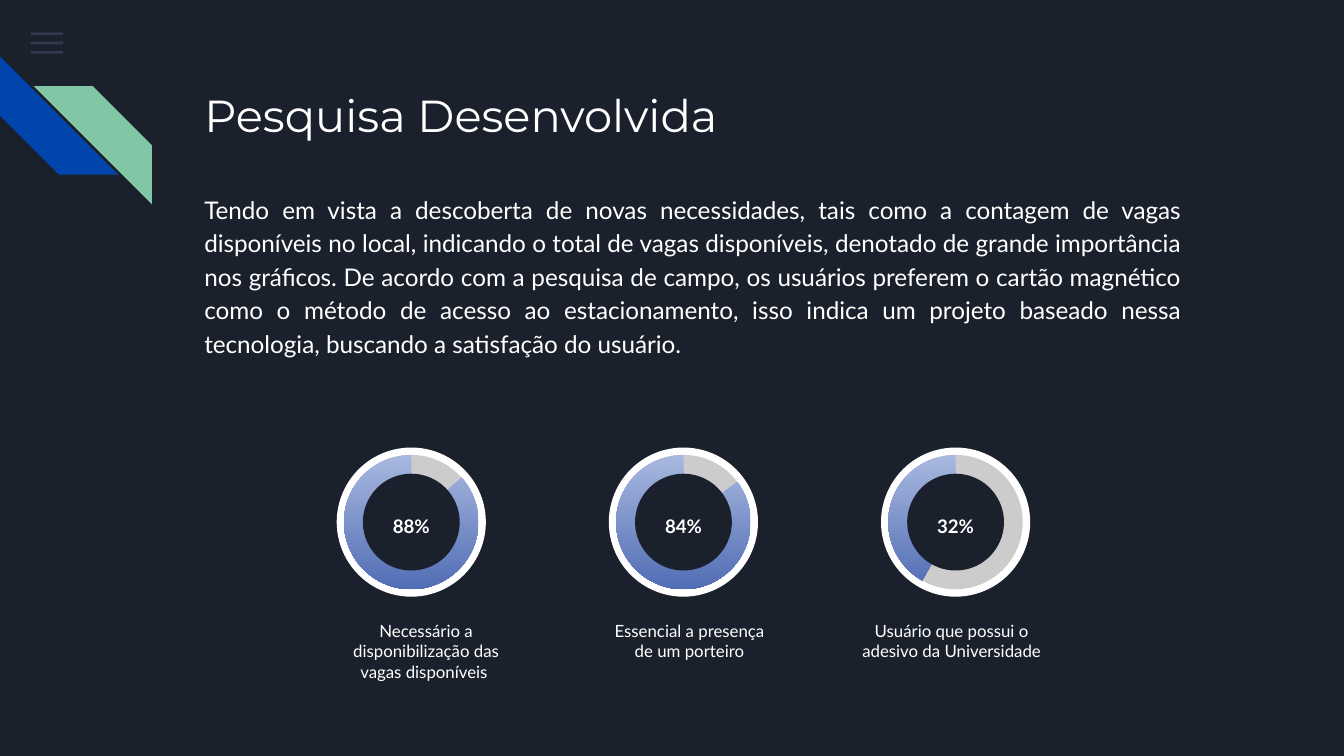
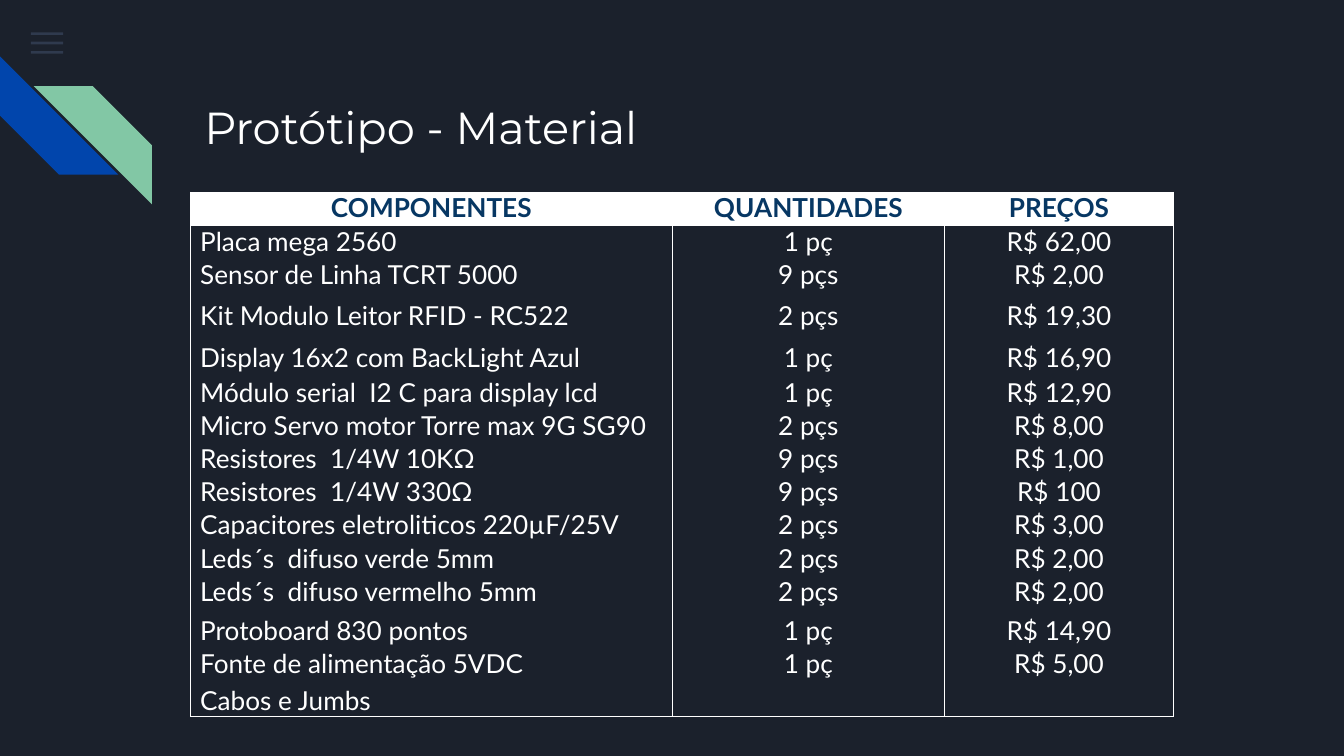
"""Build two slides on a parking survey and the prototype's bill of materials."""
from lxml.etree import SubElement
from pptx import Presentation
from pptx.dml.color import RGBColor
from pptx.enum.shapes import MSO_SHAPE
from pptx.enum.text import MSO_ANCHOR, MSO_AUTO_SIZE, PP_ALIGN
from pptx.oxml.ns import qn
from pptx.util import Inches, Pt

COLORS = {
    "background": "1B212C", "white": "FFFFFF", "menu": "55688B",
    "blue": "0145AC", "green": "82C7A5", "track": "CCCCCC",
    "arc_light": "A8B8DF", "arc_dark": "516DB4", "header": "073763",
}
TITLE_FONT, BODY_FONT = "Montserrat", "Lato"

SURVEY_TEXT = (
    "Tendo em vista a descoberta de novas necessidades, tais como a contagem de vagas "
    "disponíveis no local, indicando o total de vagas disponíveis, denotado de grande "
    "importância nos gráficos. De acordo com a pesquisa de campo, os usuários preferem o "
    "cartão magnético como o método de acesso ao estacionamento, isso indica um projeto "
    "baseado nessa tecnologia, buscando a satisfação do usuário."
)
RINGS = [
    ("88%", 191.235, "Necessário a disponibilização das vagas disponíveis ", (2.44, 4.52, 1.46, 0.58)),
    ("84%", 194.104, "Essencial a presença de um porteiro", (4.46, 4.52, 1.34, 0.48)),
    ("32%", 71.818, "Usuário que possui o adesivo da Universidade", (6.28, 4.52, 1.6, 0.48)),
]
RING_TOP_ANGLE = 162
RING_SIZE = 1.11
RING_CENTER_Y = 3.33 + RING_SIZE / 2
FIRST_RING_X, LAST_RING_X = 3.06, 7.11
MATERIALS = [
    ("COMPONENTES", "QUANTIDADES", "PREÇOS"),
    ("Placa mega 2560", "1 pç", "R$ 62,00"),
    ("Sensor de Linha TCRT 5000", "9 pçs", "R$ 2,00"),
    ("Kit Modulo Leitor RFID - RC522", "2 pçs", "R$ 19,30"),
    ("Display 16x2 com BackLight Azul", "1 pç", "R$ 16,90"),
    ("Módulo serial  I2 C para display lcd", "1 pç", "R$ 12,90"),
    ("Micro Servo motor Torre max 9G SG90", "2 pçs", "R$ 8,00"),
    ("Resistores  1/4W 10KΩ", "9 pçs", "R$ 1,00"),
    ("Resistores  1/4W 330Ω", "9 pçs", "R$ 100"),
    ("Capacitores eletroliticos 220µF/25V", "2 pçs", "R$ 3,00"),
    ("Leds´s  difuso verde 5mm", "2 pçs", "R$ 2,00"),
    ("Leds´s  difuso vermelho 5mm", "2 pçs", "R$ 2,00"),
    ("Protoboard 830 pontos", "1 pç", "R$ 14,90"),
    ("Fonte de alimentação 5VDC", "1 pç", "R$ 5,00"),
    ("Cabos e Jumbs", "", ""),
]
COLUMN_WIDTHS = [3.58, 2.03, 1.7]
TABLE_HEIGHT = 3.9
SPECIAL_HEIGHTS = {2: 0.31, 3: 0.31, 4: 0.26, 11: 0.29, 13: 0.28, 14: 0.23}
ROW_HEIGHT = (TABLE_HEIGHT - sum(SPECIAL_HEIGHTS.values())) / (len(MATERIALS) - len(SPECIAL_HEIGHTS))


def color(name):
    return RGBColor.from_string(COLORS[name])


def place(shape, bounds):
    shape.left, shape.top, shape.width, shape.height = map(Inches, bounds)


def write(frame, text, size, font=BODY_FONT, ink="white", bold=False,
          align=PP_ALIGN.LEFT, line=1, after=0):
    frame.text = text
    para = frame.paragraphs[0]
    para.alignment = align
    para.line_spacing = line
    para.space_before, para.space_after = Pt(0), Pt(after)
    for span in para.runs:
        span.font.name, span.font.size, span.font.bold = font, Pt(size), bold
        span.font.color.rgb = color(ink)


def prepare_frame(frame):
    frame.word_wrap = True
    frame.auto_size = MSO_AUTO_SIZE.NONE
    frame.vertical_anchor = MSO_ANCHOR.TOP
    frame.margin_left = frame.margin_right = Inches(0.1)
    frame.margin_top = frame.margin_bottom = Inches(0.1)


def add_filled(page, kind, bounds, fill):
    shape = page.shapes.add_shape(kind, *map(Inches, bounds))
    shape.shadow.inherit = False
    shape.line.fill.background()
    shape.fill.solid()
    shape.fill.fore_color.rgb = color(fill)
    return shape


def add_text(page, bounds, text, size, **style):
    box = page.shapes.add_textbox(*map(Inches, bounds))
    prepare_frame(box.text_frame)
    write(box.text_frame, text, size, **style)


def add_decoration(page):
    for index in range(3):
        bar = add_filled(page, MSO_SHAPE.RECTANGLE, (0.23, 0.24 + 0.07 * index, 0.24, 0.02), "menu")
        tint = bar._element.spPr.find(".//" + qn("a:srgbClr"))
        SubElement(tint, qn("a:alpha"), val="36000")
    blue = add_filled(page, MSO_SHAPE.DIAGONAL_STRIPE, (0, 0.42, 0.88, 0.88), "blue")
    blue.rotation = 270
    green = add_filled(page, MSO_SHAPE.DIAGONAL_STRIPE, (0.25, 0.64, 0.88, 0.88), "green")
    green._element.spPr.xfrm.set("flipH", "1")


def add_page(deck, layout, title, bounds, **style):
    page = deck.slides.add_slide(deck.slide_layouts[layout])
    add_decoration(page)
    place(page.shapes.title, bounds)
    prepare_frame(page.shapes.title.text_frame)
    write(page.shapes.title.text_frame, title, 24, font=TITLE_FONT, **style)
    return page


def fill_body(page, text):
    body = page.placeholders[1]
    place(body, (1.42, 1.32, 7.46, 1.37))
    prepare_frame(body.text_frame)
    write(body.text_frame, text, 13, align=PP_ALIGN.JUSTIFY, line=1.15, after=16)
    properties = body.text_frame.paragraphs[0]._p.get_or_add_pPr()
    properties.set("marL", "0")
    properties.set("indent", "0")
    SubElement(properties, qn("a:buNone"))


def add_ring(page, center_x, percent, start_angle, caption, caption_bounds):
    def disc(kind, size, fill):
        bounds = (center_x - size / 2, RING_CENTER_Y - size / 2, size, size)
        return add_filled(page, kind, bounds, fill)

    disc(MSO_SHAPE.OVAL, RING_SIZE, "white")
    disc(MSO_SHAPE.OVAL, 1, "track")
    arc = disc(MSO_SHAPE.PIE, 1, "arc_light")
    arc.adjustments[0], arc.adjustments[1] = start_angle, RING_TOP_ANGLE
    arc.fill.gradient()
    arc.fill.gradient_angle = 270
    for stop, position, name in zip(arc.fill.gradient_stops, (0, 1), ("arc_light", "arc_dark")):
        stop.position = position
        stop.color.rgb = color(name)
    disc(MSO_SHAPE.OVAL, 0.72, "background")
    add_text(page, caption_bounds, caption, 9, align=PP_ALIGN.CENTER, after=16)
    add_text(page, (center_x - 0.31, 3.71, 0.62, 0.3), percent, 10, bold=True,
             align=PP_ALIGN.CENTER, line=1.15)


def set_borders(cell, sides):
    properties = cell._tc.get_or_add_tcPr()
    for side in "LRTB":
        edge = SubElement(properties, qn("a:ln" + side), w=str(Pt(0.5)))
        if side in sides:
            SubElement(SubElement(edge, qn("a:solidFill")), qn("a:srgbClr"), val=COLORS["white"])
        else:
            SubElement(edge, qn("a:noFill"))


def format_cell(cell, text, row, column):
    header = row == 0
    centered = header or column > 0
    cell.margin_left = cell.margin_right = Inches(0.07)
    cell.margin_top = cell.margin_bottom = 0
    sides = "LR" + ("T" if row < 2 else "") + ("B" if row in (0, len(MATERIALS) - 1) else "")
    set_borders(cell, sides)
    if header:
        cell.fill.solid()
        cell.fill.fore_color.rgb = color("white")
    else:
        cell.fill.background()
    write(cell.text_frame, text, 14, ink="header" if header else "white", bold=header,
          align=PP_ALIGN.CENTER if centered else PP_ALIGN.LEFT)
    if not text:
        SubElement(cell.text_frame.paragraphs[0]._p, qn("a:endParaRPr"), sz="1400")


def add_materials(page):
    bounds = (1.42, 1.43, sum(COLUMN_WIDTHS), TABLE_HEIGHT)
    table = page.shapes.add_table(len(MATERIALS), len(COLUMN_WIDTHS), *map(Inches, bounds)).table
    table.first_row = table.horz_banding = False
    for column, width in zip(table.columns, COLUMN_WIDTHS):
        column.width = Inches(width)
    for row, texts in enumerate(MATERIALS):
        table.rows[row].height = Inches(SPECIAL_HEIGHTS.get(row, ROW_HEIGHT))
        for column, text in enumerate(texts):
            format_cell(table.cell(row, column), text, row, column)


def main():
    deck = Presentation()
    deck.slide_width = Inches(10)
    deck.slide_height = Inches(10) * 9 // 16
    background = deck.slide_master.background.fill
    background.solid()
    background.fore_color.rgb = color("background")

    survey = add_page(deck, 1, "Pesquisa Desenvolvida", (1.42, 0.49, 6.13, 0.65), line=1.15, after=16)
    fill_body(survey, SURVEY_TEXT)
    ring_step = (LAST_RING_X - FIRST_RING_X) / (len(RINGS) - 1)
    for index, ring in enumerate(RINGS):
        add_ring(survey, FIRST_RING_X + ring_step * index, *ring)

    prototype = add_page(deck, 5, "Protótipo - Material", (1.42, 0.64, 7.7, 0.79))
    add_materials(prototype)
    deck.save("out.pptx")


if __name__ == "__main__":
    main()
